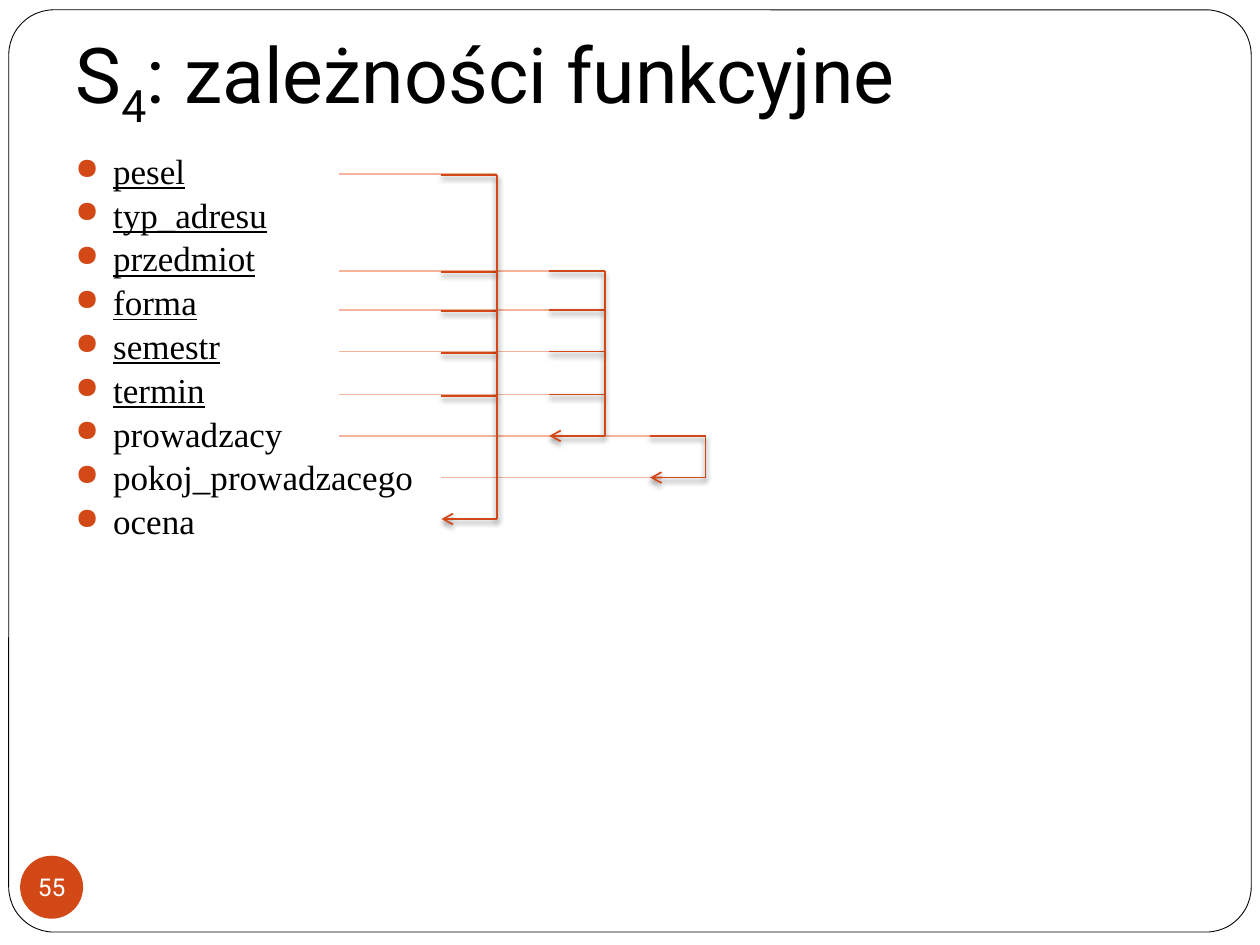
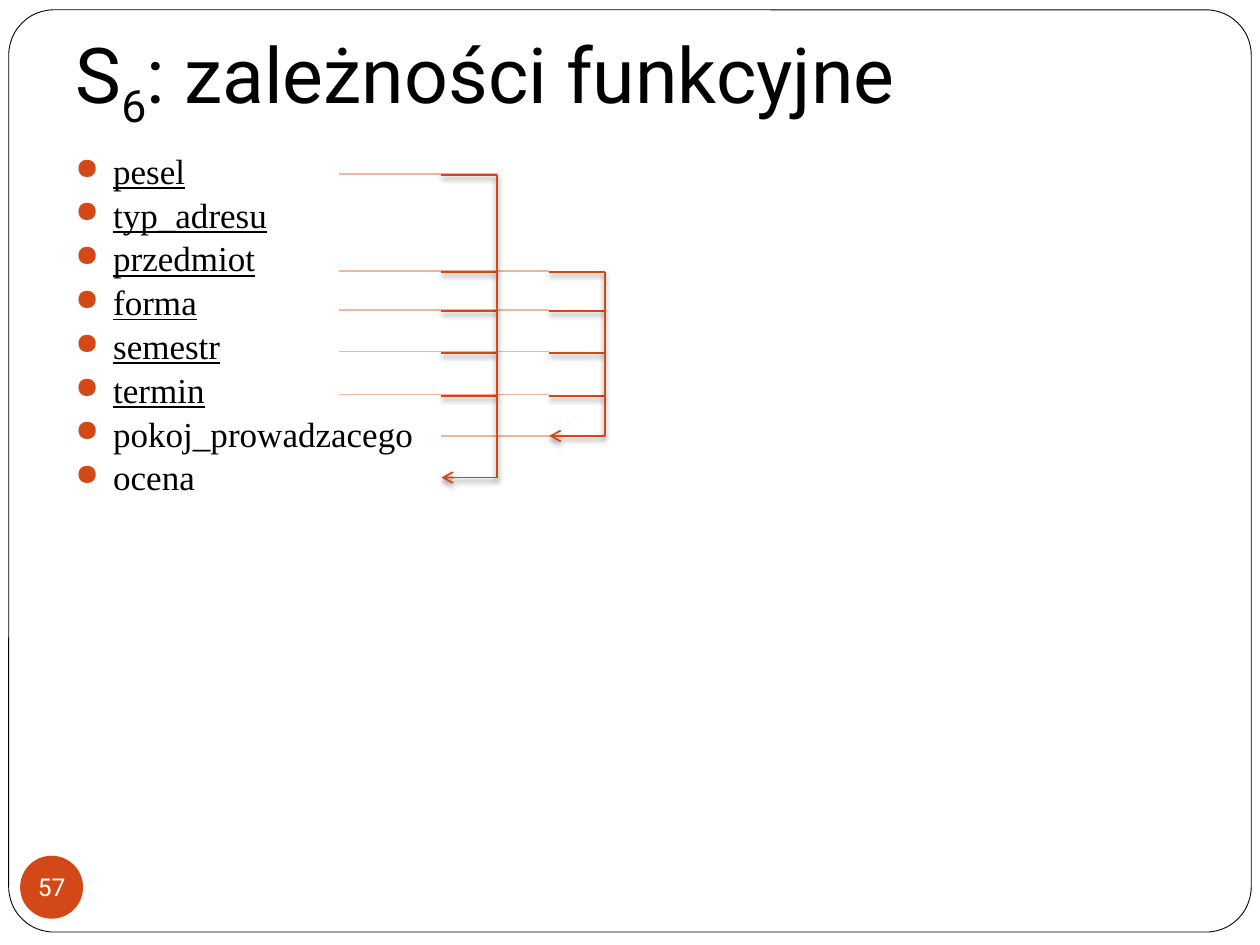
"""Build two slides of functional dependencies between attributes."""
from lxml.etree import SubElement
from pptx import Presentation
from pptx.dml.color import RGBColor as Color
from pptx.enum.shapes import MSO_CONNECTOR as Connector, MSO_SHAPE as Preset
from pptx.enum.text import MSO_ANCHOR as Anchor, MSO_AUTO_SIZE as AutoSize, PP_ALIGN as Align
from pptx.oxml import parse_xml
from pptx.oxml.ns import nsdecls, qn
from pptx.util import Pt

COLORS = {"ink": "000000", "paper": "FFFFFF", "accent": "D34817", "guide": "F4B39B"}
TITLE_FONT = {"name": "Roboto", "size": Pt(44)}
LIST_FONT = {"name": "Times New Roman", "size": Pt(20)}
NUMBER_FONT = {"name": "Roboto", "size": Pt(14)}
TITLE_FRAME = {"vertical_anchor": Anchor.MIDDLE, "word_wrap": True, "auto_size": AutoSize.NONE}
LIST_FRAME = {"word_wrap": True, "auto_size": AutoSize.NONE}
NUMBER_FRAME = {
    "vertical_anchor": Anchor.MIDDLE, "word_wrap": False,
    "margin_left": 0, "margin_right": 0, "margin_top": 0, "margin_bottom": 0,
}
LIST_SPACING = {"line_spacing": 0.8, "space_before": Pt(5.8)}
TITLE_BOX = {"left": Pt(36), "top": Pt(0), "width": Pt(648), "height": Pt(90)}
BULLET = (
    f'<a:buClr {nsdecls("a")}><a:srgbClr val="{COLORS["accent"]}"/></a:buClr>',
    f'<a:buSzPct {nsdecls("a")} val="85000"/>',
    f'<a:buChar {nsdecls("a")} char="●"/>',
)
SHADOW = (
    f'<a:outerShdw {nsdecls("a")} blurRad="{Pt(3)}" dist="{Pt(2)}" dir="5400000" rotWithShape="0">'
    f'<a:srgbClr val="{COLORS["ink"]}"><a:alpha val="50000"/></a:srgbClr></a:outerShdw>'
)

KEYS = ["pesel", "typ_adresu", "przedmiot", "forma", "semestr", "termin"]
PESEL_Y = 99.4
COURSE_YS = [154.8, 177.1, 200.9, 225.4]
DEPENDENT_YS = [249.1, 272.9, 296.6]
LABEL_X, LONG_LABEL_X = 193.7, 252
GRADE_X, TEACHER_X, ROOM_X = 284, 345.6, 403.2
BRACKET_WIDTH = 31.7
DROP = 0.7

SLIDES = [
    {
        "index": "4", "number": "55",
        "dependents": ["prowadzacy", "pokoj_prowadzacego", "ocena"],
        "guides": [(LABEL_X, GRADE_X, PESEL_Y)]
        + [(LABEL_X, TEACHER_X, y) for y in COURSE_YS]
        + [(LABEL_X, ROOM_X, DEPENDENT_YS[0]), (LONG_LABEL_X, ROOM_X, DEPENDENT_YS[1])],
        "brackets": [
            (GRADE_X, [PESEL_Y] + COURSE_YS, DEPENDENT_YS[2], DROP),
            (TEACHER_X, COURSE_YS, DEPENDENT_YS[0], 0),
            (ROOM_X, DEPENDENT_YS[:1], DEPENDENT_YS[1], 0),
        ],
    },
    {
        "index": "6", "number": "57",
        "dependents": ["pokoj_prowadzacego", "ocena"],
        "guides": [(LABEL_X, GRADE_X, PESEL_Y)]
        + [(LABEL_X, TEACHER_X - BRACKET_WIDTH, y) for y in COURSE_YS]
        + [(LONG_LABEL_X, TEACHER_X, DEPENDENT_YS[0])],
        "brackets": [
            (GRADE_X, [PESEL_Y] + COURSE_YS, DEPENDENT_YS[1], DROP),
            (TEACHER_X, COURSE_YS, DEPENDENT_YS[0], DROP),
        ],
    },
]


def apply(target, values):
    for name, value in values.items():
        setattr(target, name, value)


def draw_line(slide, start, end, color, shadow=True, arrow=False):
    connector = slide.shapes.add_connector(
        Connector.STRAIGHT, *(Pt(length) for length in start + end)
    )
    connector.line.width = Pt(1)
    connector.line.color.rgb = Color.from_string(COLORS[color])
    properties = connector._element.spPr
    if arrow:
        SubElement(properties.find(qn("a:ln")), qn("a:tailEnd"), type="arrow")
    effects = SubElement(properties, qn("a:effectLst"))
    if shadow:
        effects.append(parse_xml(SHADOW))


presentation = Presentation()
apply(presentation, {"slide_width": Pt(720), "slide_height": Pt(540)})

for content in SLIDES:
    slide = presentation.slides.add_slide(presentation.slide_layouts[5])

    border = slide.shapes.add_shape(Preset.ROUNDED_RECTANGLE, Pt(5), Pt(5.6), Pt(710), Pt(527))
    border.adjustments[0] = 0.049
    border.shadow.inherit = False
    border.fill.solid()
    border.fill.fore_color.rgb = Color.from_string(COLORS["paper"])
    border.line.color.rgb = Color.from_string(COLORS["ink"])
    border.line.width = Pt(0.5)
    slide.shapes._spTree.insert(2, border._element)

    for left, right, y in content["guides"]:
        draw_line(slide, (right, y), (left, y), "guide", shadow=False)

    title = slide.shapes.title
    apply(title, TITLE_BOX)
    apply(title.text_frame, TITLE_FRAME)
    paragraph = title.text_frame.paragraphs[0]
    paragraph.alignment = Align.LEFT
    for text in ("S", content["index"], ": zależności funkcyjne"):
        run = paragraph.add_run()
        run.text = text
        apply(run.font, TITLE_FONT)
        run.font.color.rgb = Color.from_string(COLORS["ink"])
        if text == content["index"]:
            run.font._element.set("baseline", "-25000")

    attribute_list = slide.shapes.add_textbox(Pt(36), Pt(86.4), Pt(648), Pt(416))
    frame = attribute_list.text_frame
    apply(frame, LIST_FRAME)
    attributes = KEYS + content["dependents"]
    frame.text = "\n".join(attributes)
    for attribute, paragraph in zip(attributes, frame.paragraphs):
        apply(paragraph, LIST_SPACING)
        properties = paragraph._element.get_or_add_pPr()
        properties.set("marL", str(Pt(21.6)))
        properties.set("indent", str(Pt(-21.6)))
        for element in BULLET:
            properties.append(parse_xml(element))
        font = paragraph.runs[0].font
        apply(font, LIST_FONT)
        font.underline = attribute in KEYS
        font.color.rgb = Color.from_string(COLORS["ink"])

    for spine, sources, target, drop in content["brackets"]:
        left = spine - BRACKET_WIDTH
        for y in sources:
            draw_line(slide, (left, y + drop), (spine, y + drop), "accent")
        draw_line(slide, (spine, sources[0] + drop), (spine, target), "accent")
        draw_line(slide, (spine, target), (left, target), "accent", arrow=True)

    badge = slide.shapes.add_shape(Preset.OVAL, Pt(11.5), Pt(489), Pt(36), Pt(36))
    badge.shadow.inherit = False
    badge.fill.solid()
    badge.fill.fore_color.rgb = Color.from_string(COLORS["accent"])
    badge.line.fill.background()
    apply(badge.text_frame, NUMBER_FRAME)
    paragraph = badge.text_frame.paragraphs[0]
    paragraph.text = content["number"]
    paragraph.alignment = Align.CENTER
    apply(paragraph.runs[0].font, NUMBER_FONT)
    paragraph.runs[0].font.color.rgb = Color.from_string(COLORS["paper"])

presentation.save("out.pptx")
